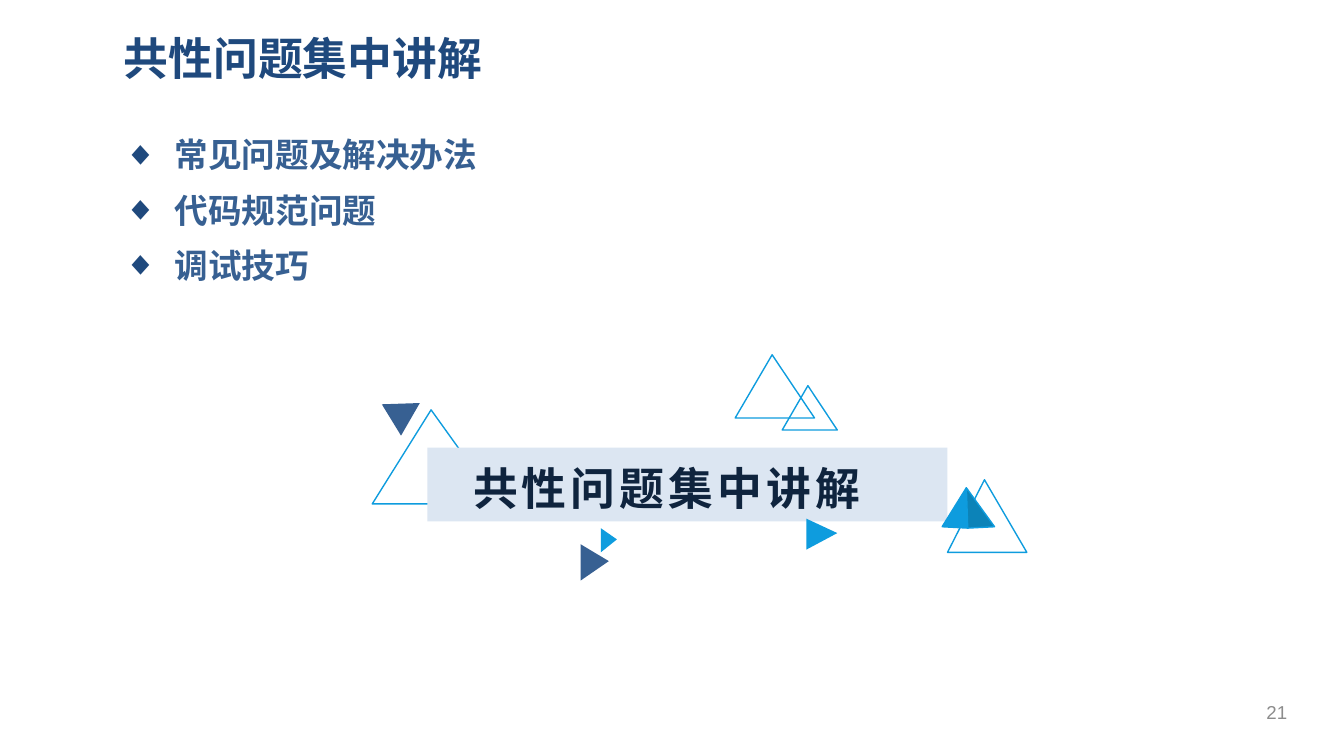
"""Build the slide on common problems: title, three topics and a banner with triangles."""
from lxml import etree
from pptx import Presentation
from pptx import util as u
from pptx.dml.color import RGBColor
from pptx.enum import shapes, text
from pptx.oxml.ns import qn

WIDTH = 10
HEIGHT = WIDTH * 9 / 16
COLORS = {"navy": "1F497D", "slate": "376092", "sky": "0E9CDE", "shade": "0C83B8",
          "pale": "DCE6F2", "ink": "0F243E", "gray": "8C8C8C"}
CJK = "Noto Sans CJK SC"
HEADING = "共性问题集中讲解"
TOPICS = ["常见问题及解决办法", "代码规范问题", "调试技巧"]
PAGE_NUMBER = "21"

LEFT, COLUMN = 0.83, 8.74
TITLE_BOX = (LEFT, 0.18, COLUMN, 0.5)
TOPICS_BOX = (LEFT, 0.9, COLUMN, 4.26)
BANNER_BOX = (3.18, 3.33, 3.87, 0.55)
NUMBER_BOX = (9.26, 5.15, 0.48, 0.3)

TRIANGLES_BEHIND = [
    ((2.77, 3.05, 0.94, 0.7), 0, None),
    ((7.05, 3.57, 0.59, 0.54), 0, None),
    ((4.44, 3.96, 0.18, 0.12), 90, "sky"),
    ((2.81, 2.94, 0.28, 0.24), 300, "slate"),
]
TRIANGLES_FRONT = [
    ((5.82, 2.87, 0.41, 0.33), 0, None),
    ((5.47, 2.64, 0.59, 0.47), 0, None),
    ((4.29, 4.08, 0.27, 0.21), 90, "slate"),
    ((6, 3.86, 0.23, 0.23), 90, "sky"),
]
PYRAMID_APEX = (7.19, 3.63)
PYRAMID_RIDGE = [(7.2, 3.92), (7.2, 3.93)]
PYRAMID_FACES = [((7.01, 3.92), "sky"), ((7.4, 3.92), "shade")]


def rgb(color):
    return RGBColor.from_string(COLORS[color])


def inches(lengths):
    return [u.Inches(length) for length in lengths]


def place(holder, box):
    holder.left, holder.top, holder.width, holder.height = inches(box)


def set_frame(frame, anchor, insets=(0.09, 0.04, 0.09, 0.04)):
    frame.word_wrap = True
    frame.auto_size = text.MSO_AUTO_SIZE.NONE
    frame.vertical_anchor = anchor
    (frame.margin_left, frame.margin_top,
     frame.margin_right, frame.margin_bottom) = inches(insets)


def add_run(paragraph, words, size, color, font=CJK, bold=True):
    run = paragraph.add_run()
    run.text = words
    run.font.size, run.font.bold, run.font.name = u.Pt(size), bold, font
    run.font.color.rgb = rgb(color)
    props = run.font._element
    etree.SubElement(props, qn("a:ea"), typeface=font)
    return props


def add_bullet(paragraph):
    props = paragraph._p.get_or_add_pPr()
    props.set("marL", str(u.Inches(0.38)))
    props.set("indent", str(-u.Inches(0.38)))
    tint = etree.SubElement(props, qn("a:buClr"))
    etree.SubElement(tint, qn("a:srgbClr"), val=COLORS["navy"])
    etree.SubElement(props, qn("a:buFont"), typeface="Arial")
    etree.SubElement(props, qn("a:buChar"), char="◆")


def paint(shape, fill=None, line=None):
    shape.shadow.inherit = False
    if fill:
        shape.fill.solid()
        shape.fill.fore_color.rgb = rgb(fill)
    else:
        shape.fill.background()
    if line:
        shape.line.color.rgb = rgb(line)
        shape.line.width = u.Pt(0.75)
    else:
        shape.line.fill.background()


def add_triangles(slide, triangles):
    for box, turn, fill in triangles:
        triangle = slide.shapes.add_shape(shapes.MSO_SHAPE.ISOSCELES_TRIANGLE, *inches(box))
        triangle.adjustments[0] = 0.466
        triangle.rotation = turn
        paint(triangle, fill, None if fill else "sky")


def add_banner(slide):
    banner = slide.shapes.add_shape(shapes.MSO_SHAPE.RECTANGLE, *inches(BANNER_BOX))
    paint(banner, "pale")
    set_frame(banner.text_frame, text.MSO_ANCHOR.TOP, (0.34, 0.1, 0.1, 0.05))
    paragraph = banner.text_frame.paragraphs[0]
    paragraph.alignment = text.PP_ALIGN.LEFT
    add_run(paragraph, HEADING, 24, "ink").set("spc", "220")


def add_pyramid(slide):
    ridge = [inches(point) for point in (PYRAMID_APEX, *PYRAMID_RIDGE)]
    for corner, fill in PYRAMID_FACES:
        outline = slide.shapes.build_freeform(*inches(corner))
        outline.add_line_segments(ridge, close=True)
        paint(outline.convert_to_shape(), fill, "sky")


def main():
    deck = Presentation()
    deck.slide_width, deck.slide_height = inches((WIDTH, HEIGHT))
    slide = deck.slides.add_slide(deck.slide_layouts[1])
    title, topics = slide.placeholders

    place(title, TITLE_BOX)
    set_frame(title.text_frame, text.MSO_ANCHOR.MIDDLE)
    heading = title.text_frame.paragraphs[0]
    heading.alignment = text.PP_ALIGN.LEFT
    add_run(heading, HEADING, 24, "navy")

    place(topics, TOPICS_BOX)
    set_frame(topics.text_frame, text.MSO_ANCHOR.TOP)
    for index, topic in enumerate(TOPICS):
        frame = topics.text_frame
        paragraph = frame.add_paragraph() if index else frame.paragraphs[0]
        add_bullet(paragraph)
        paragraph.alignment = text.PP_ALIGN.JUSTIFY
        paragraph.line_spacing = 1.2
        paragraph.space_before = u.Pt(3.6 if index else 0)
        add_run(paragraph, topic, 18, "slate")

    add_triangles(slide, TRIANGLES_BEHIND)
    add_banner(slide)
    add_triangles(slide, TRIANGLES_FRONT)
    add_pyramid(slide)

    number = slide.shapes.add_textbox(*inches(NUMBER_BOX)).text_frame
    set_frame(number, text.MSO_ANCHOR.MIDDLE)
    number.paragraphs[0].alignment = text.PP_ALIGN.CENTER
    add_run(number.paragraphs[0], PAGE_NUMBER, 10, "gray", "Arial", False)

    deck.save("out.pptx")


if __name__ == "__main__":
    main()
